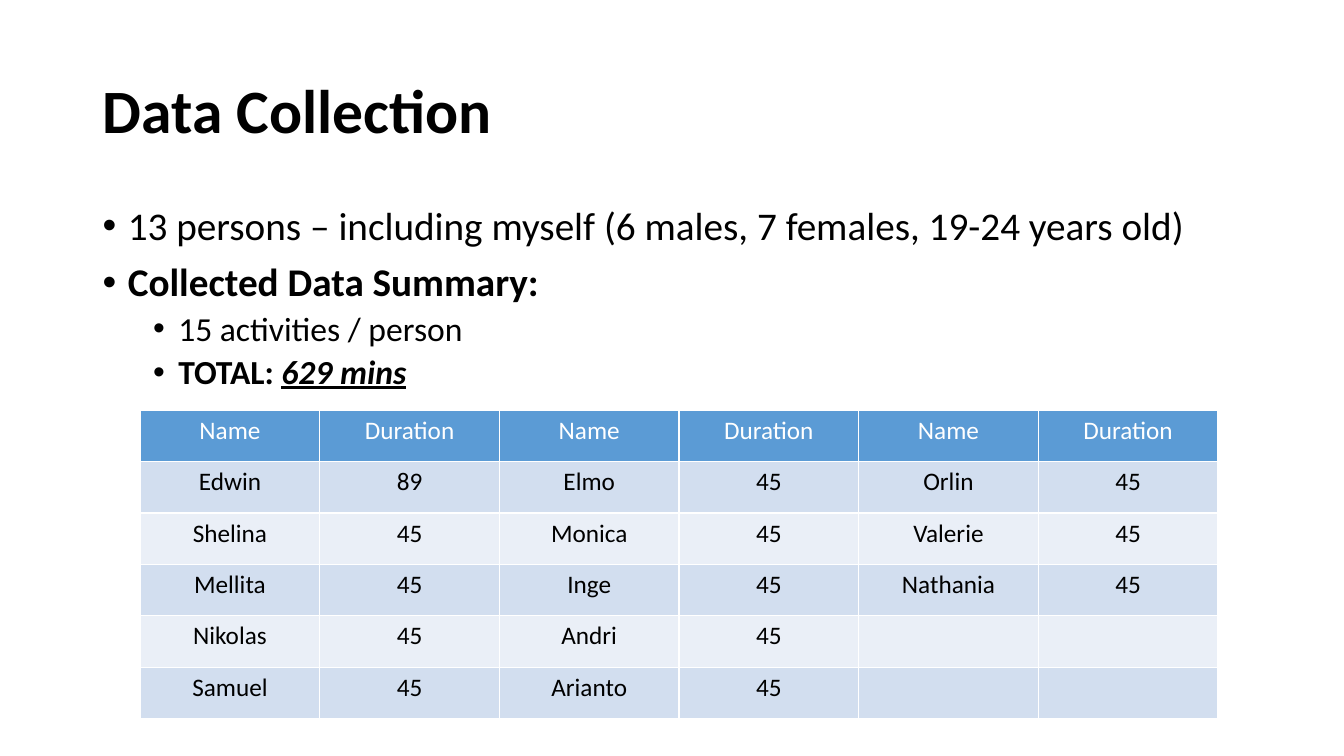
import pptx
import pptx.dml.color
import pptx.enum.text
import pptx.oxml
import pptx.oxml.ns
import pptx.util
from dataclasses import dataclass
from itertools import zip_longest

Inches = pptx.util.Inches
Pt = pptx.util.Pt
RGBColor = pptx.dml.color.RGBColor
Align = pptx.enum.text.PP_ALIGN
Anchor = pptx.enum.text.MSO_ANCHOR

BLACK = RGBColor(0x00, 0x00, 0x00)
WHITE = RGBColor(0xFF, 0xFF, 0xFF)
BLUE = RGBColor(0x5B, 0x9B, 0xD5)
BANDS = (RGBColor(0xD2, 0xDE, 0xEF), RGBColor(0xEA, 0xEF, 0xF7))
FONT = "Calibri"


@dataclass
class Run:
    text: str
    bold: bool = False
    italic: bool = False
    under: bool = False


@dataclass
class Point:
    runs: list[Run]
    level: int = 0


POINTS = [
    Point([Run("13 persons – including myself (6 males, 7 females, 19-24 years old)")]),
    Point([Run("Collected Data Summary:", bold=True)]),
    Point([Run("15 activities / person")], 1),
    Point([Run("TOTAL: ", bold=True),
           Run("629 mins", bold=True, italic=True, under=True)], 1),
]
GROUPS = [
    [("Edwin", "89"), ("Shelina", "45"), ("Mellita", "45"), ("Nikolas", "45"), ("Samuel", "45")],
    [("Elmo", "45"), ("Monica", "45"), ("Inge", "45"), ("Andri", "45"), ("Arianto", "45")],
    [("Orlin", "45"), ("Valerie", "45"), ("Nathania", "45")],
]


def write(para, text: str, *, size: float, color=BLACK, bold=False,
          italic=False, under=False, align=None) -> None:
    if align is not None:
        para.alignment = align
    run = para.add_run()
    run.text = text
    font = run.font
    font.name, font.size = FONT, Pt(size)
    font.bold, font.italic, font.underline = bold, italic, under
    font.color.rgb = color


def place(shape, left: float, top: float, width: float, height: float) -> None:
    shape.left, shape.top = Inches(left), Inches(top)
    shape.width, shape.height = Inches(width), Inches(height)


def add_xml(parent, xml: str) -> None:
    head, tail = xml.split(" ", 1)
    parent.append(pptx.oxml.parse_xml(f"{head} {pptx.oxml.ns.nsdecls('a')} {tail}"))


def draw_title(slide) -> None:
    title = slide.shapes.title
    place(title, 0.92, 0.4, 11.5, 1.45)
    frame = title.text_frame
    frame.word_wrap = True
    frame.vertical_anchor = Anchor.MIDDLE
    para = frame.paragraphs[0]
    para.line_spacing = 0.9
    write(para, "Data Collection", size=44, bold=True, align=Align.LEFT)


def draw_list(slide) -> None:
    box = slide.shapes.add_textbox(Inches(0.92), Inches(2), Inches(11.5), Inches(5.5))
    frame = box.text_frame
    frame.word_wrap = True
    for num, point in enumerate(POINTS):
        para = frame.add_paragraph() if num else frame.paragraphs[0]
        para.level = point.level
        para.line_spacing = 0.9
        para.space_before = Pt(5 if point.level else 10)
        props = para._p.get_or_add_pPr()
        props.set("marL", str(Inches(0.25 + 0.5 * point.level)))
        props.set("indent", str(Inches(-0.25)))
        add_xml(props, '<a:buFont typeface="Arial"/>')
        add_xml(props, '<a:buChar char="•"/>')
        for run in point.runs:
            write(para, run.text, size=24 if point.level else 28,
                  bold=run.bold, italic=run.italic, under=run.under)


def fill_cell(cell, text: str, back: RGBColor, color: RGBColor) -> None:
    props = cell._tc.get_or_add_tcPr()
    for side in "LRTB":
        add_xml(props, f'<a:ln{side} w="{Pt(1)}"><a:solidFill>'
                       f'<a:srgbClr val="{WHITE}"/></a:solidFill></a:ln{side}>')
    cell.fill.solid()
    cell.fill.fore_color.rgb = back
    if text:
        write(cell.text_frame.paragraphs[0], text, size=18, color=color, align=Align.CENTER)


def draw_table(slide) -> None:
    rows = [("Name", "Duration") * len(GROUPS)]
    for pairs in zip_longest(*GROUPS, fillvalue=("", "")):
        rows.append(sum(pairs, ()))
    table = slide.shapes.add_table(len(rows), len(rows[0]), Inches(1.39), Inches(4.07),
                                   Inches(10.69), Inches(3.06)).table
    for i, row in enumerate(rows):
        back = BANDS[(i - 1) % 2] if i else BLUE
        for j, text in enumerate(row):
            fill_cell(table.cell(i, j), text, back, BLACK if i else WHITE)


def main() -> None:
    deck = pptx.Presentation()
    deck.slide_width, deck.slide_height = Inches(13.33), Inches(7.5)
    slide = deck.slides.add_slide(deck.slide_layouts[5])
    draw_title(slide)
    draw_list(slide)
    draw_table(slide)
    deck.save("out.pptx")


if __name__ == "__main__":
    main()
